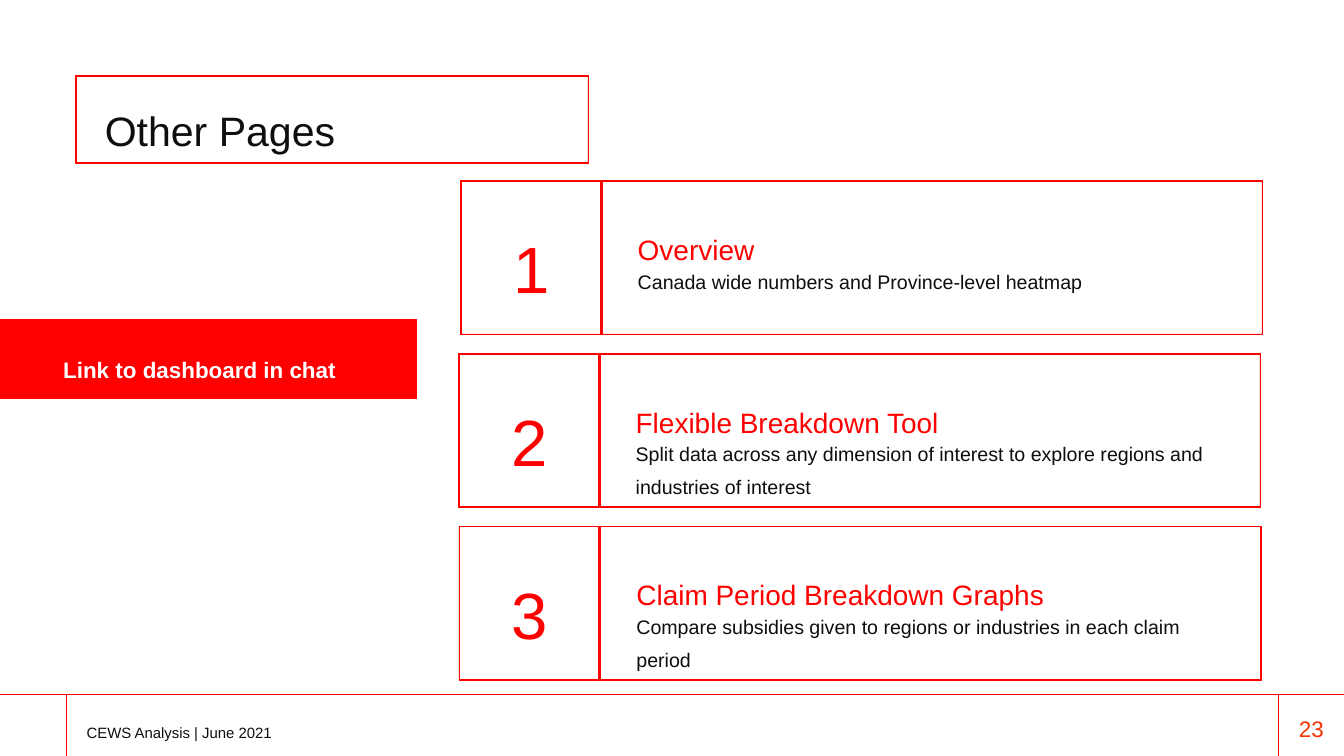
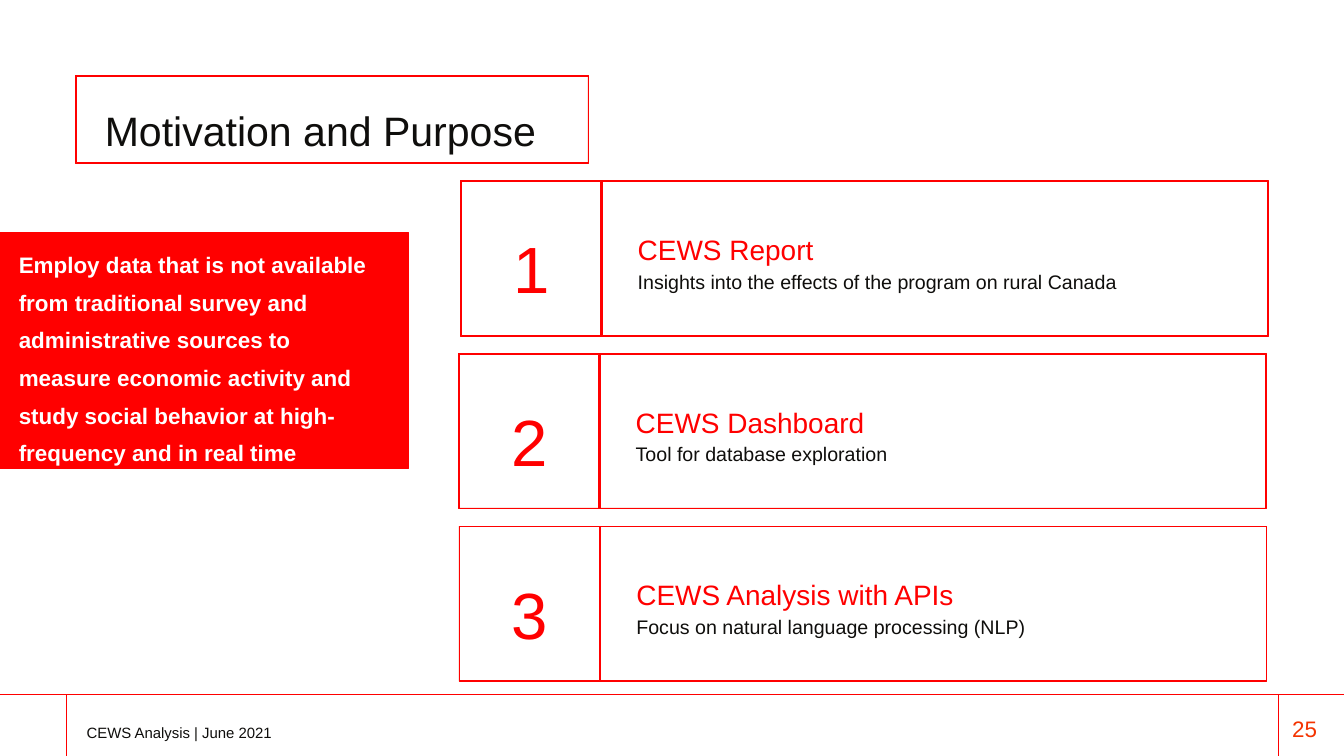
from lxml import etree
from pptx import Presentation
from pptx.dml.color import RGBColor
from pptx.enum.shapes import MSO_CONNECTOR, MSO_SHAPE
from pptx.enum.text import MSO_ANCHOR, MSO_AUTO_SIZE, PP_ALIGN
from pptx.oxml.ns import qn
from pptx.util import Inches, Pt

RED = RGBColor(0xFF, 0x00, 0x00)
ORANGE = RGBColor(0xF4, 0x33, 0x00)
INK = RGBColor(0x0F, 0x0E, 0x0C)
WHITE = RGBColor(0xFF, 0xFF, 0xFF)
LEFT, CENTER = PP_ALIGN.LEFT, PP_ALIGN.CENTER
TOP, GROW = MSO_ANCHOR.TOP, MSO_AUTO_SIZE.SHAPE_TO_FIT_TEXT
RECTANGLE, STRAIGHT = MSO_SHAPE.RECTANGLE, MSO_CONNECTOR.STRAIGHT

COLUMNS, ROWS = 20, 11.25
FOOTER_TOP = 10.34
CARD_LEFT, CARD_TOP, CARD_PITCH = 6.85, 2.69, 2.57
CARD_SHIFTS = (0, -0.03, -0.02)
FRAME_EDGE = 0.01

FRAME_LINE = {"width": Pt(0.75)}
TEXT_FRAME = {"margin_left": 0, "margin_top": 0, "margin_right": 0, "margin_bottom": 0,
              "word_wrap": True, "auto_size": GROW, "vertical_anchor": TOP}
STYLES = {
    "title": (44, INK, False, 1.25),
    "heading": (30, RED, False, 1.3),
    "detail": (21, INK, False, 1.4),
    "number": (70, RED, False, 1.0),
    "callout": (24, WHITE, True, 1.4),
    "footer": (16, INK, False, 1.4),
    "page number": (24, ORANGE, False, 1.0),
}

SLIDES = [
    {
        "title": "Other Pages",
        "number": "23",
        "number_align": CENTER,
        "band": (-0.05, 4.75, 6.25, 1.18),
        "callout": "Link to dashboard in chat",
        "callout_area": (0.94, 5.14, 5.35, 0.4),
        "card_size": (2.09, 9.84, 2.29),
        "cards": [
            ("Overview", "Canada wide numbers and Province-level heatmap", 0.37),
            ("Flexible Breakdown Tool",
             "Split data across any dimension of interest to explore regions "
             "and industries of interest", 0.85),
            ("Claim Period Breakdown Graphs",
             "Compare subsidies given to regions or industries in each claim period", 0.85),
        ],
    },
    {
        "title": "Motivation and Purpose",
        "number": "25",
        "number_align": LEFT,
        "band": (-0.17, 3.46, 6.25, 3.51),
        "callout": "Employ data that is not available from traditional survey and "
                   "administrative sources to measure economic activity and study "
                   "social behavior at high-frequency and in real time",
        "callout_area": (0.28, 3.58, 5.35, 2.82),
        "card_size": (2.1, 9.92, 2.31),
        "cards": [
            ("CEWS Report", "Insights into the effects of the program on rural Canada", 0.37),
            ("CEWS Dashboard", "Tool for database exploration", 0.37),
            ("CEWS Analysis with APIs", "Focus on natural language processing (NLP)", 0.37),
        ],
    },
]

deck = Presentation()
deck.slide_width, deck.slide_height = Inches(COLUMNS), Inches(ROWS)
CELL = deck.slide_width // COLUMNS


def write(page, area, text, style, align=LEFT):
    box = page.shapes.add_textbox(*(int(CELL * share) for share in area))
    for name, value in TEXT_FRAME.items():
        setattr(box.text_frame, name, value)
    size, color, bold, spacing = STYLES[style]
    para = box.text_frame.paragraphs[0]
    for name, value in {"alignment": align, "line_spacing": spacing}.items():
        setattr(para, name, value)
    span = para.add_run()
    span.text = text
    for name, value in {"name": "Arial", "size": Pt(size), "bold": bold}.items():
        setattr(span.font, name, value)
    span.font.color.rgb = color


def draw_frame(page, left, top, width, height):
    right, bottom = left + width, top + height
    outer = [(left, top), (left, bottom), (right, bottom), (right, top)]
    near_left, near_top = left + FRAME_EDGE, top + FRAME_EDGE
    near_right, near_bottom = right - FRAME_EDGE, bottom - FRAME_EDGE
    inner = [(near_right, near_bottom), (near_left, near_bottom),
             (near_left, near_top), (near_right, near_top)]
    builder = page.shapes.build_freeform(*(CELL * share for share in outer[0]), scale=1.0)
    builder.add_line_segments([(CELL * x, CELL * y) for x, y in outer[1:]], close=True)
    builder.move_to(*(CELL * share for share in inner[0]))
    builder.add_line_segments([(CELL * x, CELL * y) for x, y in inner[1:]], close=True)
    frame = builder.convert_to_shape()
    frame.shadow.inherit = False
    frame.fill.solid()
    frame.fill.fore_color.rgb = ORANGE
    frame.line.color.rgb = RED
    for name, value in FRAME_LINE.items():
        setattr(frame.line, name, value)


for content in SLIDES:
    page = deck.slides.add_slide(deck.slide_layouts[6])

    for ends in ((0, FOOTER_TOP, COLUMNS, FOOTER_TOP),
                 (0.99, FOOTER_TOP, 0.99, ROWS),
                 (19.02, FOOTER_TOP, 19.02, ROWS)):
        rule = page.shapes.add_connector(STRAIGHT, *(int(CELL * share) for share in ends))
        rule.line.color.rgb = RED
        rule.line.width = Pt(1)
        etree.SubElement(rule._element.spPr, qn("a:effectLst"))
    write(page, (1.29, 10.66, 10.67, 0.28), "CEWS Analysis | June 2021", "footer")
    write(page, (19.23, 10.64, 0.57, 0.4), content["number"], "page number",
          content["number_align"])

    draw_frame(page, 1.12, 1.12, 7.64, 1.31)
    write(page, (1.56, 1.38, 6.83, 0.74), content["title"], "title")

    band = page.shapes.add_shape(RECTANGLE, *(int(CELL * share) for share in content["band"]))
    band.shadow.inherit = False
    band.fill.solid()
    band.fill.fore_color.rgb = RED
    band.line.color.rgb = RED
    band.line.width = Pt(0.75)
    write(page, content["callout_area"], content["callout"], "callout")

    number_width, card_width, card_height = content["card_size"]
    for index, (heading, detail, detail_height) in enumerate(content["cards"]):
        left = CARD_LEFT + CARD_SHIFTS[index]
        top = CARD_TOP + index * CARD_PITCH
        draw_frame(page, left + 2.1, top, card_width, card_height)
        draw_frame(page, left, top, number_width, card_height)
        write(page, (left + 0.34, top + 0.71, 1.43, 1.18), str(index + 1), "number", CENTER)
        write(page, (left + 2.64, top + 0.62, 8.84, 0.5), heading, "heading")
        write(page, (left + 2.64, top + 1.18, 8.84, detail_height), detail, "detail")

deck.save("out.pptx")
